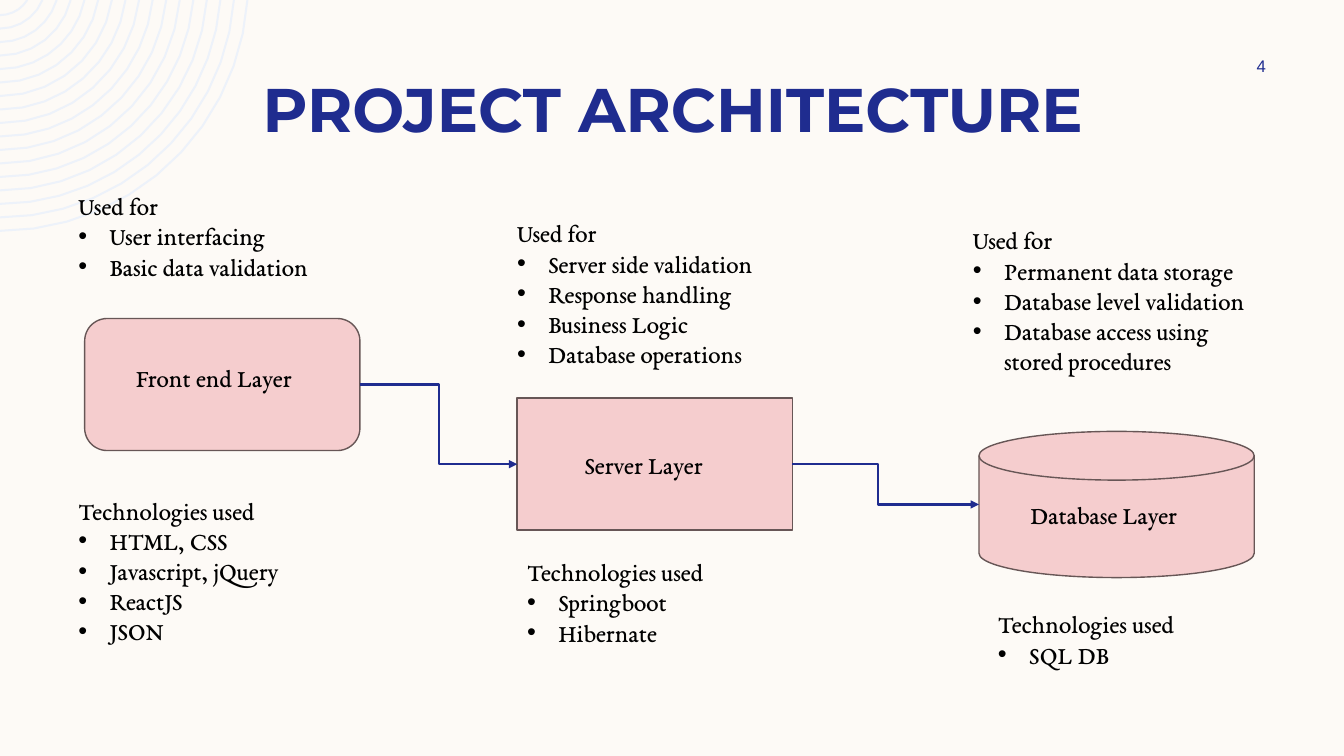
import dataclasses
import math

import lxml.etree
import pptx
import pptx.dml.color
import pptx.enum.shapes
import pptx.enum.text
import pptx.oxml.ns
import pptx.shapes.autoshape
import pptx.shapes.connector
import pptx.slide
import pptx.text.text
import pptx.util

Inches = pptx.util.Inches
Pt = pptx.util.Pt
RGB = pptx.dml.color.RGBColor.from_string
Preset = pptx.enum.shapes.MSO_SHAPE
Align = pptx.enum.text.PP_ALIGN
Anchor = pptx.enum.text.MSO_ANCHOR
qn = pptx.oxml.ns.qn


@dataclasses.dataclass(frozen=True)
class Theme:
    background: str = "FDFAF6"
    rings: str = "EDF2FA"
    navy: str = "1F2C8F"
    pink: str = "F5CDCE"
    outline: str = "675656"
    ink: str = "000000"
    title_font: str = "Montserrat"
    number_font: str = "Arial"
    body_font: str = "EB Garamond"
    title_size: int = 44
    body_size: int = 18
    number_size: int = 12


@dataclasses.dataclass(frozen=True)
class Box:
    left: float
    top: float
    width: float
    height: float

    def lengths(self) -> tuple[int, ...]:
        return tuple(Inches(v) for v in dataclasses.astuple(self))


@dataclasses.dataclass(frozen=True)
class Notes:
    heading: str
    items: tuple[str, ...]
    left: float
    top: float
    height: float


@dataclasses.dataclass(frozen=True)
class Layer:
    name: str
    preset: Preset
    corner: float | None
    box: Box
    label_left: float
    label_top: float
    uses: Notes
    technologies: Notes


THEME = Theme()
NOTES_WIDTH = 3.06
LABEL_WIDTH, LABEL_HEIGHT = 1.92, 0.4
BULLET_INDENT = Inches(0.31)
RING_COUNT, RING_WIDTH = 17, 0.02
RING_OUTER, RING_INNER, RING_CENTER_Y = 2.46, 0.32, -0.17
USES, TECHNOLOGIES = "Used for", "Technologies used"

LAYERS = (
    Layer("Front end Layer", Preset.ROUNDED_RECTANGLE, 0.17,
          Box(0.84, 3.16, 2.73, 1.31), 1.25, 3.55,
          Notes(USES, ("User interfacing", "Basic data validation"), 0.68, 1.84, 1.31),
          Notes(TECHNOLOGIES, ("HTML, CSS", "Javascript, jQuery", "ReactJS", "JSON"),
                0.68, 4.86, 1.92)),
    Layer("Server Layer", Preset.RECTANGLE, None,
          Box(5.13, 3.95, 2.73, 1.31), 5.7, 4.41,
          Notes(USES, ("Server side validation", "Response handling",
                       "Business Logic", "Database operations"), 5.03, 2.11, 1.62),
          Notes(TECHNOLOGIES, ("Springboot", "Hibernate"), 5.13, 5.47, 1.31)),
    Layer("Database Layer", Preset.FLOWCHART_MAGNETIC_DISK, None,
          Box(9.71, 4.28, 2.73, 1.45), 10.12, 4.9,
          Notes(USES, ("Permanent data storage", "Database level validation",
                       "Database access using stored procedures"), 9.55, 2.18, 2.22),
          Notes(TECHNOLOGIES, ("SQL DB",), 9.8, 5.99, 1.01)),
)


def style(paragraph: pptx.text.text._Paragraph, font: str, size: int, color: str,
          bold: bool) -> None:
    paragraph.font.name = font
    paragraph.font.size = Pt(size)
    paragraph.font.bold = bold
    paragraph.font.color.rgb = RGB(color)


def add_bullet(paragraph: pptx.text.text._Paragraph) -> None:
    properties = paragraph._p.get_or_add_pPr()
    properties.set("marL", str(BULLET_INDENT))
    properties.set("indent", str(-BULLET_INDENT))
    lxml.etree.SubElement(properties, qn("a:buFont"), typeface="Arial")
    lxml.etree.SubElement(properties, qn("a:buChar"), char="•")


def add_text(slide: pptx.slide.Slide, box: Box, lines: tuple[str, ...],
             font: str = THEME.body_font, size: int = THEME.body_size,
             color: str = THEME.ink, bold: bool = False,
             align: Align = Align.LEFT, anchor: Anchor = Anchor.TOP) -> None:
    """Write the first line plain and every further line as a bullet."""
    frame = slide.shapes.add_textbox(*box.lengths()).text_frame
    frame.word_wrap = True
    frame.vertical_anchor = anchor
    frame.text = "\n".join(lines)
    for index, paragraph in enumerate(frame.paragraphs):
        paragraph.alignment = align
        if index:
            add_bullet(paragraph)
        style(paragraph, font, size, color, bold)


def add_notes(slide: pptx.slide.Slide, notes: Notes) -> None:
    add_text(slide, Box(notes.left, notes.top, NOTES_WIDTH, notes.height),
             (notes.heading, *notes.items))


def arc(radius: float) -> list[tuple[int, int]]:
    """Points from the slide's top edge down to its left edge."""
    start = math.asin(-RING_CENTER_Y / radius)
    steps = 4 + round(3 * radius)
    angles = [start + (math.pi / 2 - start) * i / steps for i in range(steps + 1)]
    return [(Inches(radius * math.cos(a)),
             Inches(RING_CENTER_Y + radius * math.sin(a))) for a in angles]


def add_rings(slide: pptx.slide.Slide) -> None:
    step = (RING_OUTER - RING_INNER) / (RING_COUNT - 1)
    arcs = [arc(RING_OUTER - index * step) for index in range(RING_COUNT)]
    builder = slide.shapes.build_freeform(*arcs[0][0], scale=1.0)
    for first, *rest in arcs:
        builder.move_to(*first)
        builder.add_line_segments(rest, close=False)
    rings = builder.convert_to_shape()
    rings.shadow.inherit = False
    rings.fill.background()
    rings.line.color.rgb = RGB(THEME.rings)
    rings.line.width = Inches(RING_WIDTH)


def add_layer(slide: pptx.slide.Slide, layer: Layer) -> pptx.shapes.autoshape.Shape:
    add_notes(slide, layer.uses)
    block = slide.shapes.add_shape(layer.preset, *layer.box.lengths())
    if layer.corner is not None:
        block.adjustments[0] = layer.corner
    block.shadow.inherit = False
    block.fill.solid()
    block.fill.fore_color.rgb = RGB(THEME.pink)
    block.line.color.rgb = RGB(THEME.outline)
    block.line.width = Pt(1)
    add_text(slide, Box(layer.label_left, layer.label_top, LABEL_WIDTH, LABEL_HEIGHT),
             (layer.name,))
    add_notes(slide, layer.technologies)
    return block


def add_arrow(slide: pptx.slide.Slide, source: pptx.shapes.autoshape.Shape,
              target: pptx.shapes.autoshape.Shape,
              bend: float) -> pptx.shapes.connector.Connector:
    """Draw an elbow from right side to left side, turning at the share bend."""
    arrow = slide.shapes.add_connector(
        pptx.enum.shapes.MSO_CONNECTOR.ELBOW,
        source.left + source.width, source.top + source.height // 2,
        target.left, target.top + target.height // 2)
    arrow.line.color.rgb = RGB(THEME.navy)
    arrow.line.width = Pt(1.5)
    properties = arrow._element.spPr
    lxml.etree.SubElement(properties.find(qn("a:ln")), qn("a:tailEnd"), type="triangle")
    lxml.etree.SubElement(properties, qn("a:effectLst"))
    lxml.etree.SubElement(properties.find(qn("a:prstGeom")).find(qn("a:avLst")),
                          qn("a:gd"), name="adj1", fmla=f"val {round(bend * 100000)}")
    return arrow


def main() -> None:
    deck = pptx.Presentation()
    deck.slide_width, deck.slide_height = Inches(13.33), Inches(7.5)
    slide = deck.slides.add_slide(deck.slide_layouts[6])
    slide.background.fill.solid()
    slide.background.fill.fore_color.rgb = RGB(THEME.background)
    add_rings(slide)
    add_text(slide, Box(0.84, 0.65, 11.67, 0.84), ("PROJECT ARCHITECTURE",),
             THEME.title_font, THEME.title_size, THEME.navy, True,
             Align.CENTER, Anchor.BOTTOM)
    add_text(slide, Box(11.97, 0.5, 1.08, 0.3), ("4",), THEME.number_font,
             THEME.number_size, THEME.navy, align=Align.CENTER, anchor=Anchor.MIDDLE)

    front_end, server, database = [add_layer(slide, layer) for layer in LAYERS]
    request = add_arrow(slide, front_end, server, 0.5)
    request.begin_connect(front_end, 3)
    request.end_connect(server, 1)
    query = add_arrow(slide, server, database, 0.46)
    query.begin_connect(server, 3)
    deck.save("out.pptx")


if __name__ == "__main__":
    main()
